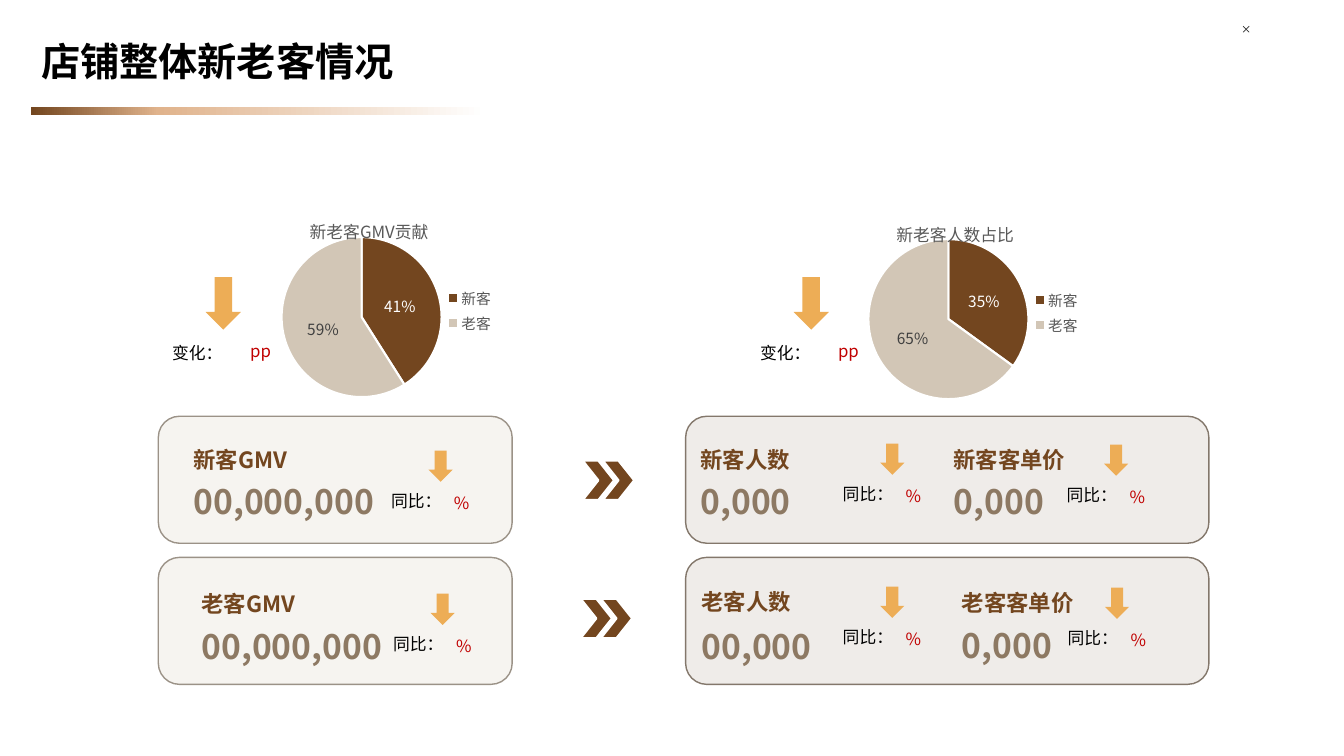
from copy import deepcopy
from dataclasses import dataclass

from lxml import etree
from pptx import Presentation
from pptx.chart.data import CategoryChartData
from pptx.dml.color import RGBColor
from pptx.enum.chart import XL_CHART_TYPE, XL_LABEL_POSITION, XL_LEGEND_POSITION
from pptx.enum.shapes import MSO_CONNECTOR, MSO_SHAPE
from pptx.enum.text import MSO_ANCHOR, MSO_AUTO_SIZE, PP_ALIGN
from pptx.oxml.ns import qn
from pptx.util import Pt

PIE = XL_CHART_TYPE.PIE
LABEL_CENTER = XL_LABEL_POSITION.CENTER
LEGEND_RIGHT = XL_LEGEND_POSITION.RIGHT
STRAIGHT = MSO_CONNECTOR.STRAIGHT
RECTANGLE = MSO_SHAPE.RECTANGLE
CARD = MSO_SHAPE.ROUNDED_RECTANGLE
CHEVRON = MSO_SHAPE.CHEVRON
DOWN_ARROW = MSO_SHAPE.DOWN_ARROW
MIDDLE = MSO_ANCHOR.MIDDLE
FIT_SHAPE = MSO_AUTO_SIZE.SHAPE_TO_FIT_TEXT
LEFT, CENTER = PP_ALIGN.LEFT, PP_ALIGN.CENTER

EMU_PER_PX = 9144  # 100 px to the inch


@dataclass(frozen=True)
class Theme:
    title_font: str = "DejaVu Sans"
    font: str = "Noto Sans CJK SC"
    black: str = "000000"
    white: str = "FFFFFF"
    close: str = "333333"
    brown: str = "73461F"
    tan: str = "E0B38C"
    sand: str = "D2C6B6"
    value: str = "8D7963"
    arrow: str = "EDAD56"
    red: str = "C00000"
    chart_text: str = "595959"
    label_text: str = "404040"
    revenue_card: tuple = ("F6F4F0", "9B9287")
    customer_card: tuple = ("EFECE9", "83776B")
    title_size: float = 28
    value_size: float = 24
    heading_size: float = 16
    body_size: float = 12
    label_size: float = 11
    legend_size: float = 10.5


@dataclass(frozen=True)
class Marker:
    """Sizes of a change marker, with offsets from its label."""
    label: str
    unit: str
    label_width: int
    unit_width: int
    unit_offset: tuple
    arrow_offset: tuple
    arrow_size: tuple


THEME = Theme()
SHARE_CHANGE = Marker("变化：", "pp", 123, 123, (36, -2), (43, -60), (35, 52))
YEAR_CHANGE = Marker("同比：", "%", 115, 74, (43, 2), (47, -35), (24, 31))


def px(*lengths):
    return [length * EMU_PER_PX for length in lengths]


def rgb(color):
    return RGBColor.from_string(color)


def set_font(font, size, color, bold=False, name=THEME.font):
    font.name, font.size, font.bold = name, Pt(size), bold
    font.color.rgb = rgb(color)


def add_east_asian_font(element):
    """Give every default run style in the element its East Asian typeface."""
    for style in element.iter(qn("a:defRPr")):
        if style.find(qn("a:ea")) is None:
            etree.SubElement(style, qn("a:ea"), typeface=THEME.font)


def add_text(slide, text, box, size, color, bold=False, align=LEFT,
             line_spacing=1.0, name=THEME.font):
    shape = slide.shapes.add_textbox(*px(*box))
    frame = shape.text_frame
    frame.word_wrap = True
    frame.auto_size = FIT_SHAPE
    paragraph = frame.paragraphs[0]
    paragraph.text = text
    paragraph.alignment = align
    paragraph.line_spacing = line_spacing
    set_font(paragraph.font, size, color, bold, name)
    add_east_asian_font(shape._element)
    return frame


def add_shape(slide, kind, box, fill, line=None, line_width=1):
    shape = slide.shapes.add_shape(kind, *px(*box))
    shape.shadow.inherit = False
    shape.fill.solid()
    shape.fill.fore_color.rgb = rgb(fill)
    if line:
        shape.line.color.rgb = rgb(line)
        shape.line.width = Pt(line_width)
    else:
        shape.line.fill.background()
    return shape


def add_line(slide, *ends):
    line = slide.shapes.add_connector(STRAIGHT, *px(*ends))
    line.line.color.rgb = rgb(THEME.close)
    line.line.width = Pt(0.5)
    etree.SubElement(line._element.spPr, qn("a:effectLst"))


def add_title(slide, text):
    bar = add_shape(slide, RECTANGLE, (31, 106, 451, 8), THEME.brown)
    bar.fill.gradient()
    bar.fill.gradient_angle = 0
    stop_list = bar._element.spPr.find(".//" + qn("a:gsLst"))
    stop_list.insert(1, deepcopy(stop_list[0]))
    stops = ((0, THEME.brown), (0.28, THEME.tan), (1, THEME.white))
    for stop, (position, color) in zip(bar.fill.gradient_stops, stops):
        stop.position = position
        stop.color.rgb = rgb(color)
    frame = add_text(slide, text, (31, 24, 1032, 78), THEME.title_size, THEME.black,
                     bold=True, line_spacing=0.9, name=THEME.title_font)
    frame.auto_size = MSO_AUTO_SIZE.NONE
    frame.vertical_anchor = MIDDLE


def set_layout(parent, index, **values):
    """Place a chart part by fractions of the chart area."""
    layout = parent.find(qn("c:layout"))
    if layout is None:
        layout = etree.Element(qn("c:layout"))
        parent.insert(index, layout)
    for child in list(layout):
        layout.remove(child)
    manual = etree.SubElement(layout, qn("c:manualLayout"))
    for name, value in values.items():
        etree.SubElement(manual, qn("c:" + name), val=str(value))


def add_share_pie(slide, title, left, top, shares):
    data = CategoryChartData()
    data.categories = ["新客", "老客"]
    data.add_series("Series 1", shares)
    chart = slide.shapes.add_chart(PIE, *px(left, top, 248, 266), data).chart
    set_font(chart.font, THEME.legend_size, THEME.black)

    chart.has_title = True
    paragraph = chart.chart_title.text_frame.paragraphs[0]
    paragraph.text = title
    set_font(paragraph.font, THEME.body_size, THEME.chart_text)
    chart.has_legend = True
    chart.legend.position = LEGEND_RIGHT
    chart.legend.include_in_layout = False
    set_font(chart.legend.font, THEME.legend_size, THEME.chart_text)

    plot = chart.plots[0]
    plot.vary_by_categories = True
    series = plot.series[0]
    for index, color in enumerate((THEME.brown, THEME.sand)):
        point = series.points[index]
        point.format.fill.solid()
        point.format.fill.fore_color.rgb = rgb(color)
        point.format.line.color.rgb = rgb(THEME.white)
        point.format.line.width = Pt(1.5)
    labels = series.data_labels
    labels.show_value, labels.show_percentage = False, True
    labels.number_format, labels.number_format_is_linked = "0%", False
    labels.position = LABEL_CENTER
    set_font(labels.font, THEME.label_size, THEME.label_text)
    new_label = series.points[0].data_label
    set_font(new_label.font, THEME.label_size, THEME.white)
    new_label.position = LABEL_CENTER

    space = chart._chartSpace
    point_label = next(space.iter(qn("c:dLbl")))
    point_label.find(qn("c:showVal")).set("val", "0")
    point_label.find(qn("c:showPercent")).set("val", "1")
    set_layout(next(space.iter(qn("c:title"))), 1,
               xMode="edge", yMode="edge", x=0.21, y=0.14)
    set_layout(next(space.iter(qn("c:plotArea"))), 0, layoutTarget="inner",
               xMode="edge", yMode="edge", x=0.11, y=0.2, w=0.64, h=0.65)
    add_east_asian_font(space)


def add_change(slide, marker, left, top):
    add_text(slide, marker.label, (left, top, marker.label_width, 30),
             THEME.body_size, THEME.black)
    arrow_x, arrow_y = marker.arrow_offset
    add_shape(slide, DOWN_ARROW, (left + arrow_x, top + arrow_y, *marker.arrow_size),
              THEME.arrow)
    unit_x, unit_y = marker.unit_offset
    add_text(slide, marker.unit, (left + unit_x, top + unit_y, marker.unit_width, 30),
             THEME.body_size, THEME.red, align=CENTER)


def add_metric(slide, heading, value, left, top, value_top, change):
    add_text(slide, heading, (left, top, 229, 40), THEME.heading_size, THEME.brown,
             bold=True, line_spacing=1.2)
    add_text(slide, value, (left, value_top, 229, 54), THEME.value_size, THEME.value,
             bold=True, line_spacing=1.2)
    add_change(slide, YEAR_CHANGE, *change)


def add_row_background(slide, top, chevron_left, chevron_top):
    add_shape(slide, CARD, (680, top, 519, 126), *THEME.customer_card)
    add_shape(slide, CARD, (157, top, 351, 126), *THEME.revenue_card)
    for left in (chevron_left, chevron_left + 20):
        add_shape(slide, CHEVRON, (left, chevron_top, 31, 39), THEME.brown,
                  THEME.white, 1.5)


def main():
    presentation = Presentation()
    presentation.slide_width, presentation.slide_height = px(1333, 750)
    slide = presentation.slides.add_slide(presentation.slide_layouts[6])
    add_line(slide, 1233, 26, 1239, 32)
    add_line(slide, 1239, 26, 1233, 32)
    add_title(slide, "店铺整体新老客情况")

    add_share_pie(slide, "新老客GMV贡献", 252, 175, (41, 59))
    add_share_pie(slide, "新老客人数占比", 834, 177, (35, 65))
    for left in (161, 744):
        add_change(slide, SHARE_CHANGE, left, 335)

    add_row_background(slide, 413, 578, 457)
    add_row_background(slide, 553, 576, 594)
    for metric in (
        ("新客GMV", "00,000,000", 182, 432, 464, (378, 482)),
        ("新客人数", "0,000", 685, 432, 464, (826, 475)),
        ("新客客单价", "0,000", 936, 432, 464, (1048, 476)),
        ("老客GMV", "00,000,000", 190, 575, 608, (380, 624)),
        ("老客人数", "00,000", 686, 573, 608, (826, 617)),
        ("老客客单价", "0,000", 944, 574, 607, (1049, 618)),
    ):
        add_metric(slide, *metric)
    presentation.save("out.pptx")


if __name__ == "__main__":
    main()
